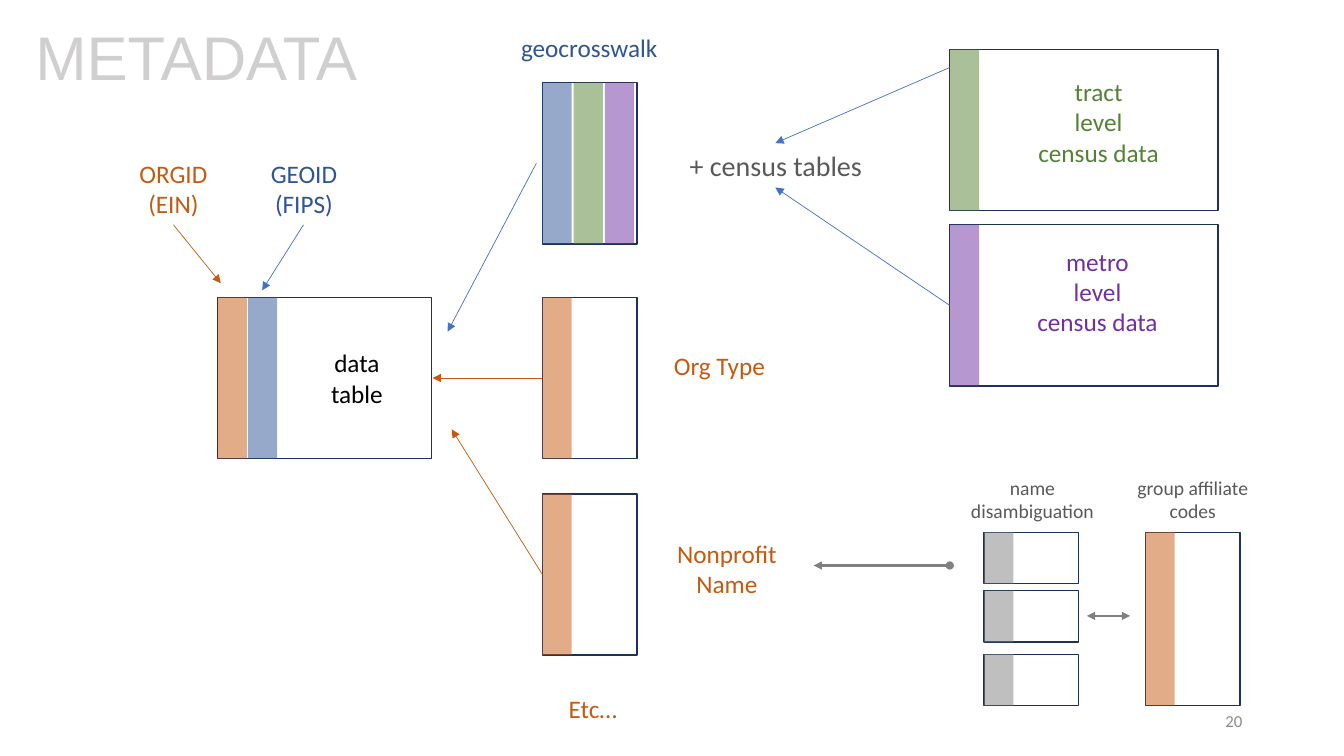
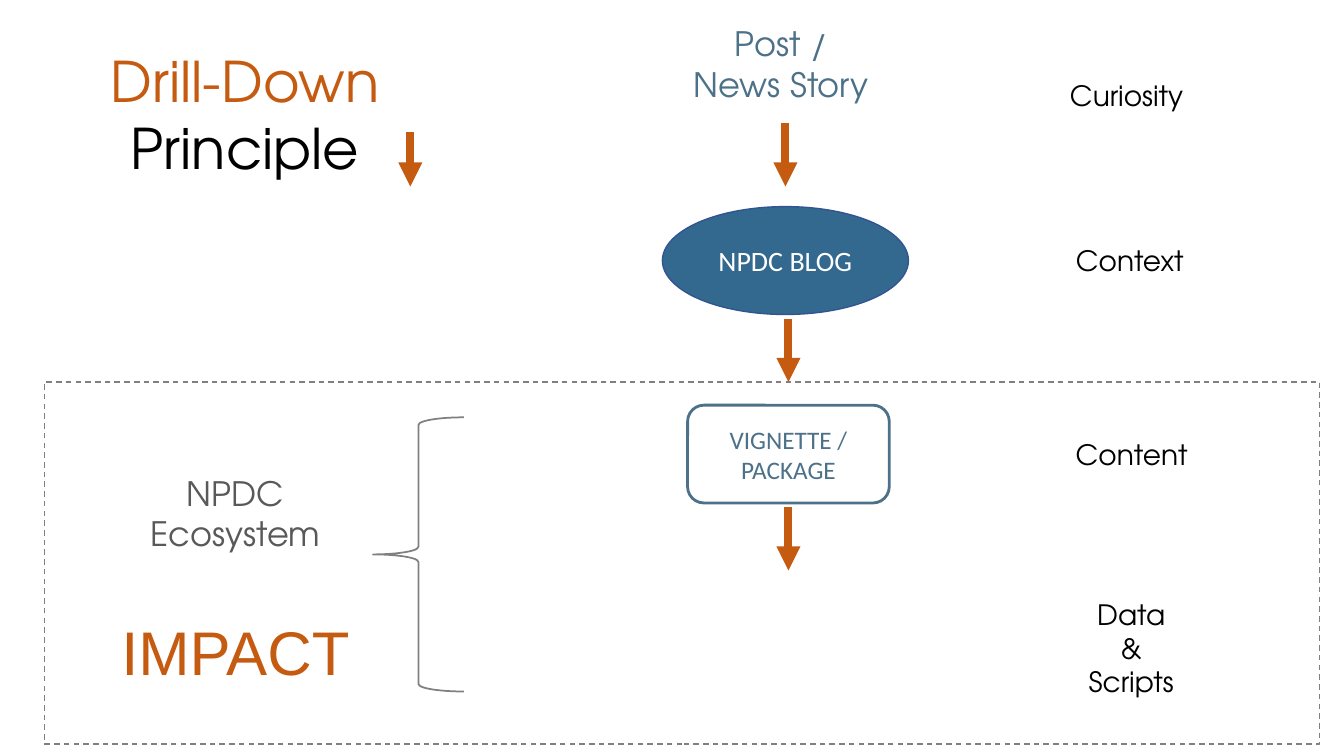
from lxml import etree
from pptx import Presentation
from pptx import util as u
from pptx.dml.color import RGBColor
from pptx.enum import dml, shapes, text
from pptx.oxml import ns

PX = 9144
COLORS = {
    "black": "000000", "white": "FFFFFF", "orange": "C55A11",
    "blue": "2F5597", "link": "4472C4", "green": "548235",
    "purple": "7030A0", "gray": "808080", "dark": "595959",
    "number": "8C8C8C", "title": "D0CECE", "frame": "1E3256",
    "teal": "33698F", "rim": "325491", "slate": "4C7189",
}
BODY, HEAD, GEOMETRIC = "Calibri", "Arial", "TeX Gyre Adventor"
BAND = 29
ALIGN = text.PP_ALIGN
SHAPE = shapes.MSO_SHAPE


def rgb(name):
    return RGBColor.from_string(COLORS[name])


def px(*lengths):
    return [u.Emu(n * PX) for n in lengths]


class Deck:
    def __init__(self, width, height):
        self.prs = Presentation()
        self.prs.slide_width, self.prs.slide_height = px(width, height)
        self.slide = None

    def new_slide(self):
        self.slide = self.prs.slides.add_slide(self.prs.slide_layouts[5])

    def set_lines(self, tf, lines, size, colors, font=BODY,
                  align=ALIGN.CENTER, spacing=1.0):
        if isinstance(colors, str):
            colors = [colors] * len(lines)
        for i, (line, color) in enumerate(zip(lines, colors)):
            p = tf.add_paragraph() if i else tf.paragraphs[0]
            p.text = line
            p.alignment = align
            p.line_spacing = spacing
            p.font.size = u.Pt(size)
            p.font.name = font
            p.font.color.rgb = rgb(color)

    def title(self, box, lines, size, colors, font, **style):
        sp = self.slide.shapes.title
        sp.left, sp.top, sp.width, sp.height = px(*box)
        tf = sp.text_frame
        tf.auto_size = text.MSO_AUTO_SIZE.NONE
        tf.vertical_anchor = text.MSO_ANCHOR.TOP
        self.set_lines(tf, lines, size, colors, font, **style)

    def label(self, box, lines, size, color, font=BODY, wrap=False,
              anchor=text.MSO_ANCHOR.TOP, **style):
        tf = self.slide.shapes.add_textbox(*px(*box)).text_frame
        tf.word_wrap = wrap
        tf.auto_size = text.MSO_AUTO_SIZE.SHAPE_TO_FIT_TEXT
        tf.vertical_anchor = anchor
        self.set_lines(tf, lines, size, color, font, **style)

    def shape(self, kind, box, fill=None, line=None, width=1, dash=None):
        sp = self.slide.shapes.add_shape(kind, *px(*box))
        sp.shadow.inherit = False
        if fill:
            sp.fill.solid()
            sp.fill.fore_color.rgb = rgb(fill)
        else:
            sp.fill.background()
        if line:
            sp.line.color.rgb = rgb(line)
            sp.line.width = u.Pt(width)
            if dash:
                sp.line.dash_style = dash
        else:
            sp.line.fill.background()
        return sp

    def node(self, kind, box, lines, size, color, **style):
        tf = self.shape(kind, box, **style).text_frame
        tf.word_wrap = True
        tf.vertical_anchor = text.MSO_ANCHOR.MIDDLE
        self.set_lines(tf, lines, size, color)

    def table_icon(self, box, *bands, pitch=30):
        left, top, _, height = box
        self.shape(SHAPE.RECTANGLE, box, line="frame")
        for i, color in enumerate(bands):
            sp = self.shape(SHAPE.RECTANGLE,
                            (left + i * pitch, top, BAND, height), fill=color)
            clr = sp.element.find(".//" + ns.qn("a:srgbClr"))
            etree.SubElement(clr, ns.qn("a:alpha"), val="50000")

    def arrow(self, start, end, color, width=0.5, head=None, tail="triangle"):
        cx = self.slide.shapes.add_connector(
            shapes.MSO_CONNECTOR.STRAIGHT, *px(*start, *end))
        cx.line.color.rgb = rgb(color)
        cx.line.width = u.Pt(width)
        ln = cx.element.find(".//" + ns.qn("a:ln"))
        for tag, kind in (("a:headEnd", head), ("a:tailEnd", tail)):
            if kind:
                etree.SubElement(ln, ns.qn(tag), type=kind)
        etree.SubElement(ln.getparent(), ns.qn("a:effectLst"))


def metadata(deck):
    deck.new_slide()
    deck.title((25, 22, 1150, 145), ["METADATA"], 44, "title", HEAD,
               align=ALIGN.LEFT, spacing=0.9)
    deck.label((942, 695, 300, 40), ["20"], 12, "number", wrap=True,
               anchor=text.MSO_ANCHOR.MIDDLE, align=ALIGN.RIGHT)

    deck.table_icon((216, 295, 212, 160), "orange", "blue")
    deck.table_icon((538, 82, 94, 160), "blue", "green", "purple", pitch=31)
    for top in (295, 490):
        deck.table_icon((538, top, 94, 160), "orange")
    for top, color in ((49, "green"), (223, "purple")):
        deck.table_icon((942, top, 266, 160), color)
    for top in (528, 586, 649):
        deck.table_icon((976, top, 94, 51), "gray")
    deck.table_icon((1136, 528, 94, 172), "orange")

    for box, lines, color in (
        ((128, 152, 88, 71), ["ORGID", "(EIN)"], "orange"),
        ((258, 152, 87, 71), ["GEOID", "(FIPS)"], "blue"),
        ((506, 27, 157, 40), ["geocrosswalk"], "blue"),
        ((1019, 71, 141, 101), ["tract", "level", "census data"], "green"),
        ((1018, 239, 141, 101), ["metro", "level", "census data"], "purple"),
        ((658, 343, 111, 40), ["Org Type"], "orange"),
        ((658, 529, 126, 71), ["Nonprofit", "Name"], "orange"),
        ((553, 683, 70, 40), ["Etc…"], "orange"),
        ((318, 340, 72, 71), ["data", "table"], "black"),
    ):
        deck.label(box, lines, 18, color)
    deck.label((673, 142, 193, 44), ["+ census tables"], 20, "dark")
    for left, lines in ((948, ["name", "disambiguation"]),
                        (1107, ["group affiliate codes"])):
        deck.label((left, 467, 152, 57), lines, 14, "dark", wrap=True)

    for start, end, color in (
        ((301, 223), (260, 288), "link"),
        ((172, 223), (219, 281), "orange"),
        ((942, 67), (769, 142), "link"),
        ((942, 303), (769, 186), "link"),
        ((538, 570), (448, 426), "orange"),
        ((538, 375), (429, 375), "orange"),
        ((532, 162), (444, 329), "link"),
    ):
        deck.arrow(start, end, color)
    deck.arrow((807, 561), (942, 561), "gray", 1.5, "triangle", "oval")
    deck.arrow((1078, 611), (1121, 611), "gray", 1.5, "triangle")


def drill_down(deck):
    deck.new_slide()
    deck.title((98, 41, 290, 145), ["Drill-Down", "Principle"], 40,
               ["orange", "black"], GEOMETRIC)
    for box, lines in (
        ((1051, 73, 133, 44), ["Curiosity"]),
        ((1056, 237, 129, 44), ["Context"]),
        ((1056, 429, 133, 44), ["Content"]),
        ((1069, 588, 106, 111), ["Data", "&", "Scripts"]),
    ):
        deck.label(box, lines, 20, "black", GEOMETRIC)

    deck.shape(SHAPE.LEFT_BRACE, (370, 414, 90, 272), line="gray", width=1.25)
    deck.shape(SHAPE.RECTANGLE, (44, 379, 1265, 359), line="gray",
               dash=dml.MSO_LINE.DASH)
    deck.label((138, 464, 191, 91), ["NPDC", "Ecosystem"], 24, "dark",
               GEOMETRIC)
    deck.label((109, 604, 249, 84), ["IMPACT"], 44, "orange", HEAD)

    deck.label((677, 18, 196, 91), ["Post /", "News Story"], 24, "slate",
               GEOMETRIC)
    deck.node(SHAPE.OVAL, (657, 205, 244, 107), ["NPDC BLOG"], 20, "white",
              fill="teal", line="rim")
    deck.node(SHAPE.ROUNDED_RECTANGLE, (682, 402, 200, 97),
              ["VIGNETTE /", "PACKAGE"], 18, "slate", line="slate", width=2)
    for x, top, length in ((407, 131, 54), (779, 122, 63),
                           (782, 316, 63), (782, 503, 63)):
        deck.arrow((x, top), (x, top + length), "orange", 5.75)


def main():
    deck = Deck(1333, 750)
    metadata(deck)
    drill_down(deck)
    deck.prs.save("out.pptx")


if __name__ == "__main__":
    main()
